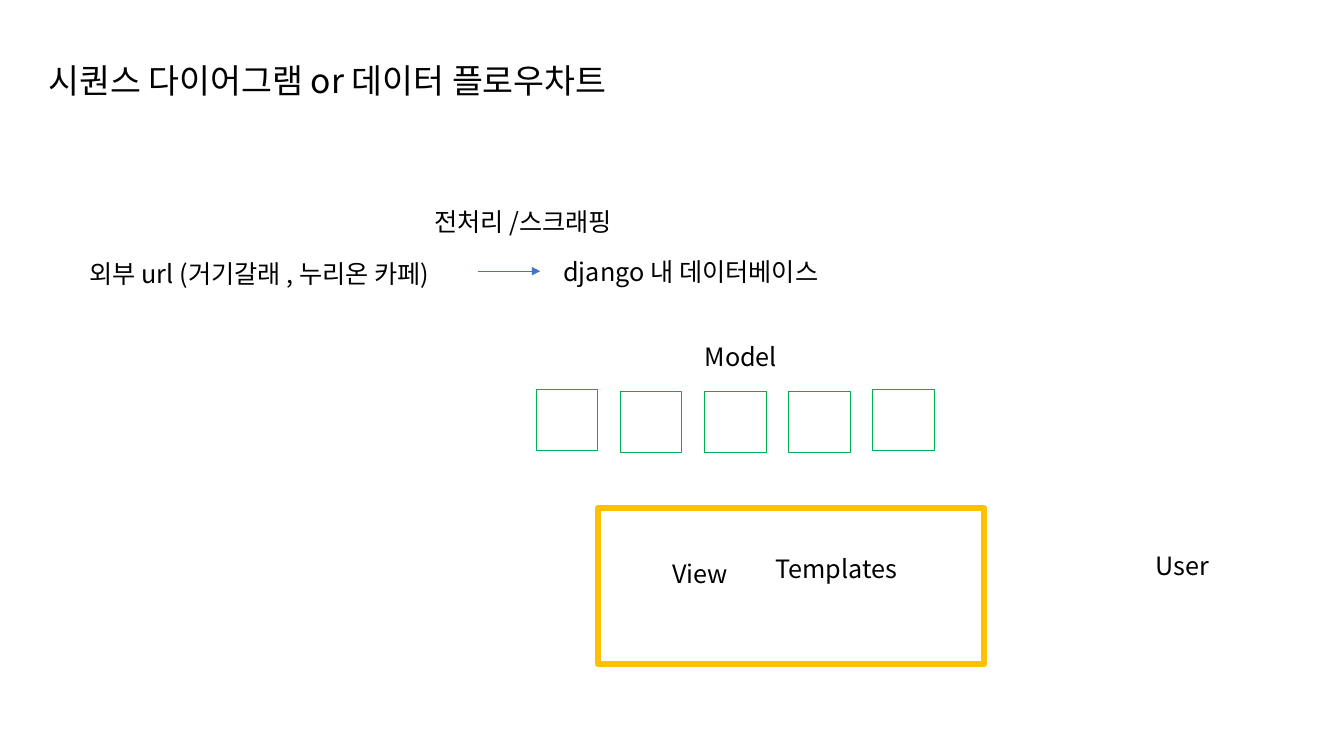
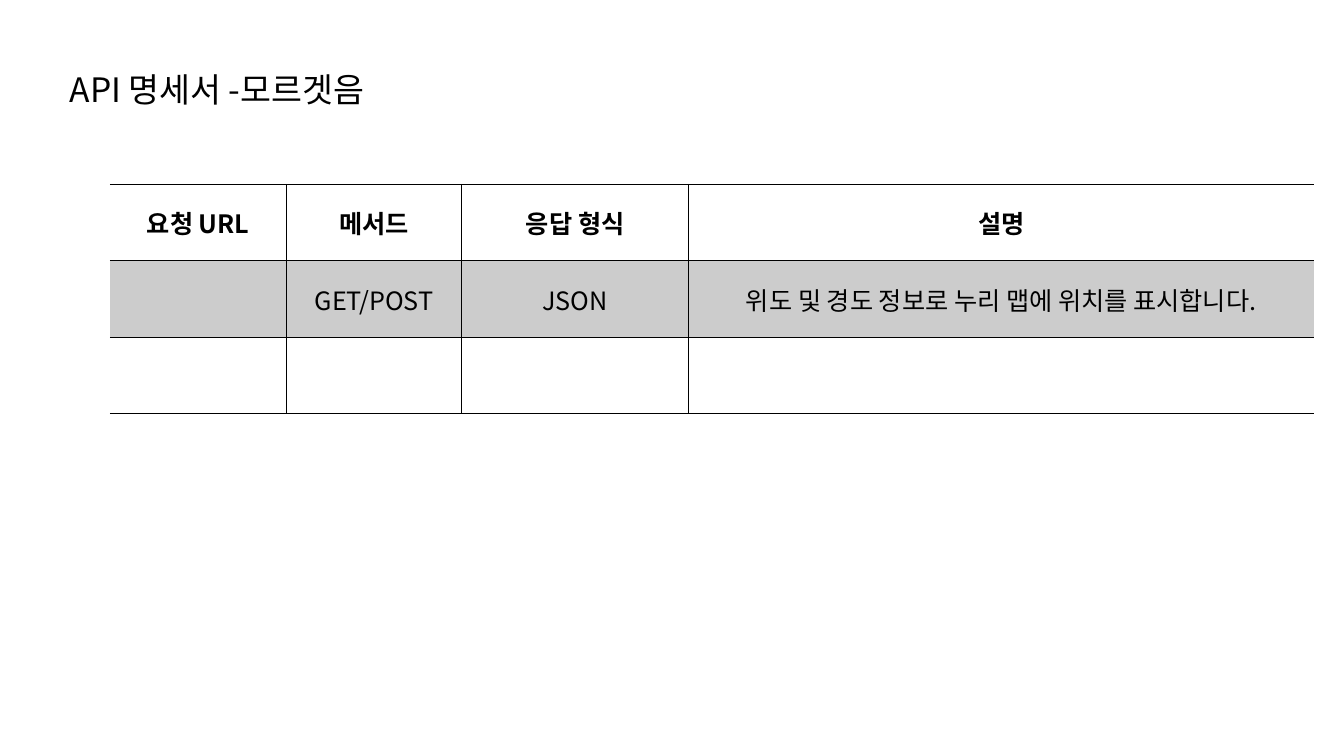
from lxml import etree
from pptx import Presentation
from pptx.dml.color import RGBColor
from pptx.enum.shapes import MSO_CONNECTOR, MSO_SHAPE
from pptx.enum.text import MSO_ANCHOR, MSO_AUTO_SIZE, PP_ALIGN
from pptx.oxml import parse_xml
from pptx.oxml.ns import nsdecls, qn
from pptx.util import Inches, Pt

RECTANGLE = MSO_SHAPE.RECTANGLE
STRAIGHT = MSO_CONNECTOR.STRAIGHT
LEFT, CENTER = PP_ALIGN.LEFT, PP_ALIGN.CENTER
TOP, MIDDLE = MSO_ANCHOR.TOP, MSO_ANCHOR.MIDDLE
NO_AUTOFIT = MSO_AUTO_SIZE.NONE

# Shared look
FONT = "Noto Sans CJK KR"
BLACK = RGBColor(0x00, 0x00, 0x00)
WHITE = RGBColor(0xFF, 0xFF, 0xFF)
GREY = RGBColor(0xCC, 0xCC, 0xCC)
BLUE = RGBColor(0x44, 0x72, 0xC4)
GREEN = RGBColor(0x00, 0xB0, 0x50)
AMBER = RGBColor(0xFF, 0xC0, 0x00)
TITLE_ONLY = 5
PLAIN_TABLE = "{2D5ABB26-0587-4C30-8999-92F81FD0307C}"

SLIDE_WIDTH, SLIDE_HEIGHT = Inches(13.33), Inches(7.5)
LABEL_HEIGHT = 5.33


# Lengths are percentages of the slide's width and height
def across(share):
    return round(SLIDE_WIDTH * share / 100)


def down(share):
    return round(SLIDE_HEIGHT * share / 100)


def area(left, top, width, height):
    return across(left), down(top), across(width), down(height)


def write(frame, text, size=18, bold=False, align=LEFT, anchor=TOP, spacing=1.0):
    frame.word_wrap = True
    frame.vertical_anchor = anchor
    paragraph = frame.paragraphs[0]
    paragraph.alignment = align
    paragraph.line_spacing = spacing
    run = paragraph.add_run()
    run.text = text
    run.font.name = FONT
    run.font.size = Pt(size)
    run.font.bold = bold
    run.font.color.rgb = BLACK
    east_asian = etree.SubElement(run.font._element, qn("a:ea"))
    east_asian.set("typeface", FONT)


def add_titled_slide(presentation, text, left, top):
    slide = presentation.slides.add_slide(presentation.slide_layouts[TITLE_ONLY])
    title = slide.shapes.title
    title.left, title.top, title.width, title.height = area(left, top, 50, 8.2)
    title.text_frame.auto_size = NO_AUTOFIT
    write(title.text_frame, text, size=24, spacing=1.5)
    return slide


def add_label(slide, text, left, top, width):
    label = slide.shapes.add_textbox(*area(left, top, width, LABEL_HEIGHT))
    write(label.text_frame, text)


def add_outline(slide, left, top, width, height, color, weight):
    shape = slide.shapes.add_shape(RECTANGLE, *area(left, top, width, height))
    shape.shadow.inherit = False
    shape.fill.background()
    shape.line.color.rgb = color
    shape.line.width = Pt(weight)


def add_arrow(slide, start, end, level):
    arrow = slide.shapes.add_connector(
        STRAIGHT, across(start), down(level), across(end), down(level))
    arrow.line.color.rgb = BLUE
    arrow.line.width = Pt(0.5)
    etree.SubElement(arrow.line._get_or_add_ln(), qn("a:tailEnd")).set("type", "triangle")
    etree.SubElement(arrow._element.spPr, qn("a:effectLst"))


def add_borders(cell, sides):
    properties = cell._tc.get_or_add_tcPr()
    for side in "LRTB":
        if side in sides:
            properties.append(parse_xml(
                f'<a:ln{side} {nsdecls("a")} w="{Pt(1)}"><a:solidFill>'
                f'<a:srgbClr val="{BLACK}"/></a:solidFill></a:ln{side}>'))


def add_ruled_table(slide, rows, widths, left, top, row_height):
    frame = slide.shapes.add_table(
        len(rows), len(widths), *area(left, top, sum(widths), row_height * len(rows)))
    table = frame.table
    table._tbl.tblPr.find(qn("a:tableStyleId")).text = PLAIN_TABLE
    for column, width in zip(table.columns, widths):
        column.width = across(width)
    for row_index, texts in enumerate(rows):
        table.rows[row_index].height = down(row_height)
        header = row_index == 0
        for column_index, text in enumerate(texts):
            cell = table.cell(row_index, column_index)
            # Rules frame the header, close the table and part the columns
            sides = "TB" if header else ""
            sides += "T" if row_index == 1 else ""
            sides += "B" if row_index == len(rows) - 1 else ""
            sides += "L" if column_index > 0 else ""
            sides += "R" if column_index < len(widths) - 1 else ""
            add_borders(cell, sides)
            cell.fill.solid()
            cell.fill.fore_color.rgb = GREY if row_index % 2 else WHITE
            cell.vertical_anchor = MIDDLE
            if text:
                write(cell.text_frame, text, bold=header, align=CENTER, anchor=MIDDLE)


def build_flow_slide(presentation):
    slide = add_titled_slide(
        presentation, "시퀀스 다이어그램 or 데이터 플로우차트", 2.85, 4.53)

    # Data source to database
    add_label(slide, "외부 url (거기갈래 , 누리온 카페)", 5.93, 33.47, 32)
    add_arrow(slide, 35.56, 40.2, 35.87)
    add_label(slide, "django 내 데이터베이스", 41.18, 33.2, 32)
    add_label(slide, "전처리 /스크래핑", 31.58, 26.67, 21.3)

    # Views and templates
    add_label(slide, "Templates", 56.94, 72.53, 11.25)
    add_label(slide, "View", 49.29, 73.2, 14.2)

    # Models: the outer two sit slightly higher
    add_label(slide, "Model", 51.69, 44.53, 14.2)
    for index, top in enumerate((51.47, 51.73, 51.73, 51.73, 51.47)):
        add_outline(slide, 39.9 + 6.26 * index, top, 4.58, 8.13, GREEN, 0.75)

    add_label(slide, "User", 85.22, 72.13, 14.2)
    add_outline(slide, 44.48, 67.2, 28.73, 20.67, AMBER, 4.5)


def build_api_slide(presentation):
    slide = add_titled_slide(presentation, "API 명세서 -모르겟음", 4.43, 5.73)
    rows = (
        ("요청 URL", "메서드", "응답 형식", "설명"),
        ("", "GET/POST", "JSON", "위도 및 경도 정보로 누리 맵에 위치를 표시합니다."),
        ("", "", "", ""),
    )
    add_ruled_table(slide, rows, (13.13, 13.05, 16.88, 46.51), 8.18, 24.4, 10.1)


def main():
    presentation = Presentation()
    presentation.slide_width = SLIDE_WIDTH
    presentation.slide_height = SLIDE_HEIGHT
    build_flow_slide(presentation)
    build_api_slide(presentation)
    presentation.save("out.pptx")


main()
